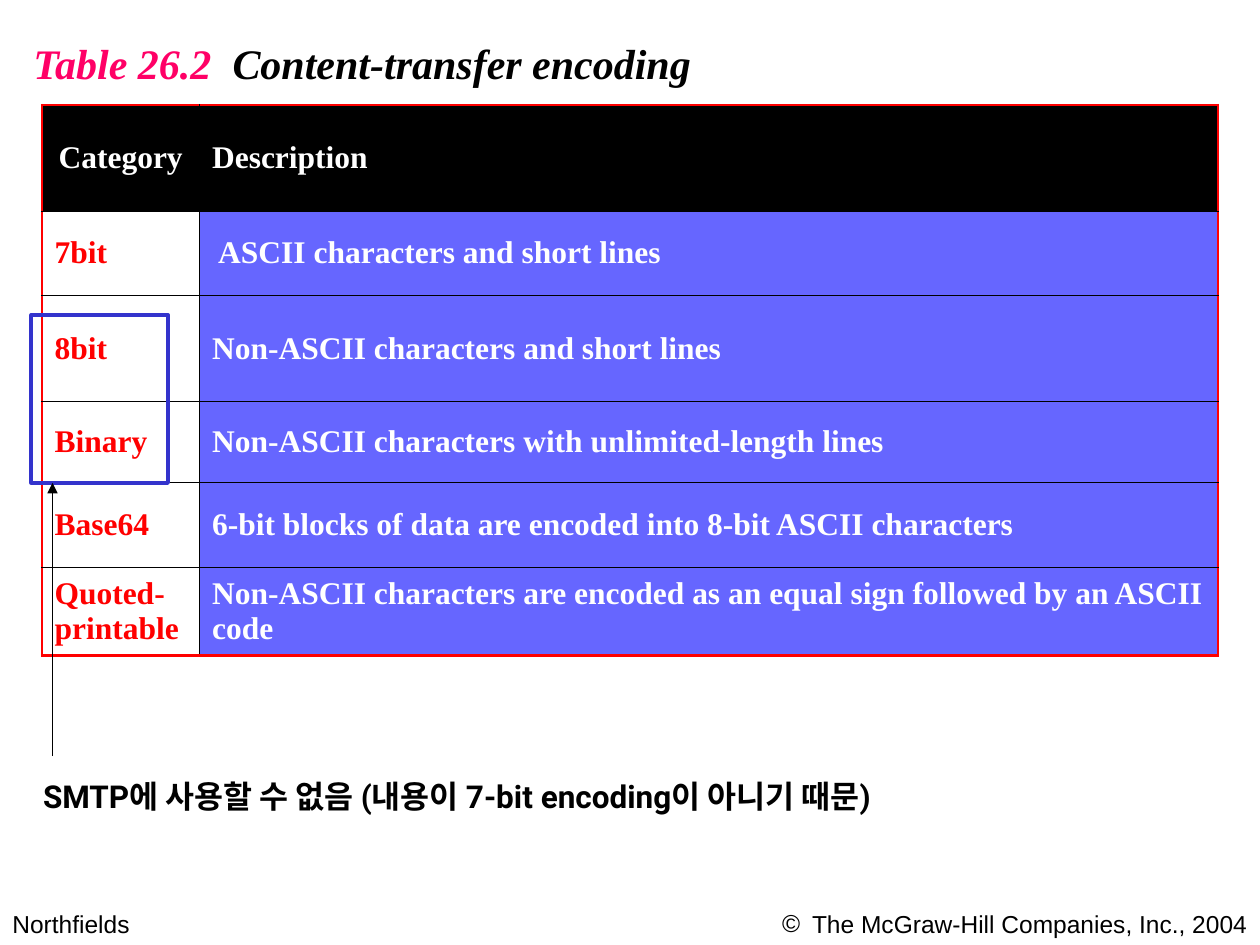
from dataclasses import dataclass

from lxml.etree import SubElement
from pptx import Presentation
from pptx.dml.color import RGBColor as Rgb
from pptx.enum.shapes import MSO_CONNECTOR as Connector, MSO_SHAPE as Shape
from pptx.enum.text import MSO_ANCHOR as Anchor, PP_ALIGN as Align
from pptx.oxml import parse_xml
from pptx.oxml.ns import nsdecls, qn
from pptx.util import Pt


@dataclass(frozen=True)
class Theme:
    black: str = "000000"
    white: str = "FFFFFF"
    red: str = "FF0000"
    pink: str = "FF0066"
    violet: str = "6666FF"
    blue: str = "3333CC"
    serif: str = "Times New Roman"
    sans: str = "Arial"
    note_font: str = "Roboto"
    title_size: float = 24
    body_size: float = 18
    footer_size: float = 14
    outer_border: float = 1.47
    inner_border: float = 0.45


class SlideBuilder:
    def __init__(self, slide, theme):
        self.slide = slide
        self.theme = theme

    def add_run(self, paragraph, text, font, size, color, bold=False, italic=False):
        run = paragraph.add_run()
        run.text = text
        run.font.name = font
        run.font.size = Pt(size)
        run.font.bold = bold
        run.font.italic = italic
        run.font.color.rgb = Rgb.from_string(color)

    def text(self, box, runs, font, size, align=Align.LEFT, wrap=True,
             bullet=None, **emphasis):
        """Place one paragraph made of (text, color) runs."""
        frame = self.slide.shapes.add_textbox(*map(Pt, box)).text_frame
        frame.word_wrap = wrap
        paragraph = frame.paragraphs[0]
        paragraph.alignment = align
        if bullet:
            properties = paragraph._p.get_or_add_pPr()
            properties.set("marL", str(Pt(17)))
            properties.set("indent", str(-Pt(17)))
            SubElement(properties, qn("a:buFont"), typeface=font)
            SubElement(properties, qn("a:buChar"), char=bullet)
        for content, color in runs:
            self.add_run(paragraph, content, font, size, color, **emphasis)

    def borders(self, cell, outer_sides):
        """Draw the outer sides thick and red, the others thin and black."""
        theme = self.theme
        properties = cell._tc.get_or_add_tcPr()
        for position, side in enumerate("LRTB"):
            outer = side in outer_sides
            width = Pt(theme.outer_border if outer else theme.inner_border)
            color = theme.red if outer else theme.black
            properties.insert(position, parse_xml(
                f'<a:ln{side} {nsdecls("a")} w="{width}"><a:solidFill>'
                f'<a:srgbClr val="{color}"/></a:solidFill></a:ln{side}>'))

    def cell(self, cell, text, fill, color, align):
        cell.fill.solid()
        cell.fill.fore_color.rgb = Rgb.from_string(fill)
        cell.vertical_anchor = Anchor.MIDDLE
        paragraph = cell.text_frame.paragraphs[0]
        paragraph.alignment = align
        self.add_run(paragraph, text, self.theme.serif, self.theme.body_size,
                     color, bold=True)

    def table(self, left, top, widths, heights, rows):
        theme = self.theme
        table = self.slide.shapes.add_table(
            len(heights), len(widths), Pt(left), Pt(top),
            Pt(sum(widths)), Pt(sum(heights))).table
        table.first_row = table.horz_banding = False
        for column, width in zip(table.columns, widths):
            column.width = Pt(width)
        for row, height in zip(table.rows, heights):
            row.height = Pt(height)
        last_row, last_column = len(heights) - 1, len(widths) - 1
        for r, texts in enumerate(rows):
            for c, text in enumerate(texts):
                if r == 0:
                    fill, color = theme.black, theme.white
                elif c == 0:
                    fill, color = theme.white, theme.red
                else:
                    fill, color = theme.violet, theme.white
                align = Align.CENTER if r == c == 0 else Align.LEFT
                cell = table.cell(r, c)
                self.cell(cell, text, fill, color, align)
                edges = {"L": c == 0, "R": c == last_column,
                         "T": r == 0, "B": r == last_row}
                self.borders(cell, [side for side, outer in edges.items() if outer])

    def frame(self, box, color, width):
        outline = self.slide.shapes.add_shape(Shape.RECTANGLE, *map(Pt, box))
        outline.shadow.inherit = False
        outline.fill.background()
        outline.line.color.rgb = Rgb.from_string(color)
        outline.line.width = Pt(width)

    def arrow(self, start, end, color, width):
        arrow = self.slide.shapes.add_connector(
            Connector.STRAIGHT, *map(Pt, (*start, *end)))
        arrow.line.color.rgb = Rgb.from_string(color)
        arrow.line.width = Pt(width)
        SubElement(arrow.line._get_or_add_ln(), qn("a:tailEnd"), type="triangle")
        SubElement(arrow._element.spPr, qn("a:effectLst"))


ENCODINGS = [
    ("Category", "Description"),
    ("7bit", " ASCII characters and short lines"),
    ("8bit", "Non-ASCII characters and short lines"),
    ("Binary", "Non-ASCII characters with unlimited-length lines"),
    ("Base64", "6-bit blocks of data are encoded into 8-bit ASCII characters"),
    ("Quoted-printable", "Non-ASCII characters are encoded as an equal sign "
                         "followed by an ASCII code"),
]


def main():
    presentation = Presentation()
    presentation.slide_width, presentation.slide_height = Pt(720), Pt(540)
    theme = Theme()
    slide = presentation.slides.add_slide(presentation.slide_layouts[6])
    builder = SlideBuilder(slide, theme)

    builder.text((0, 516, 174, 24.5), [("Northfields", theme.black)],
                 theme.sans, theme.footer_size)
    builder.text((360, 516, 360, 24.5),
                 [("The McGraw-Hill Companies, Inc., 2004", theme.black)],
                 theme.sans, theme.footer_size, align=Align.RIGHT, bullet="©")
    builder.text((12, 18, 392.5, 36),
                 [("Table 26.2  ", theme.pink),
                  ("Content-transfer encoding", theme.black)],
                 theme.serif, theme.title_size, wrap=False, bold=True, italic=True)
    builder.table(24, 60, [90, 582], [60.5, 48.3, 60.5, 46.4, 48.5, 50.5], ENCODINGS)
    builder.frame((18, 180, 78, 96), theme.blue, 2.25)
    builder.arrow((30, 432), (30, 276), theme.black, 0.75)
    builder.text((17.5, 440.5, 530, 29),
                 [("SMTP에 사용할 수 없음 (내용이 7-bit encoding이 아니기 때문)",
                   theme.black)],
                 theme.note_font, theme.body_size, wrap=False, bold=True)
    presentation.save("out.pptx")


if __name__ == "__main__":
    main()
